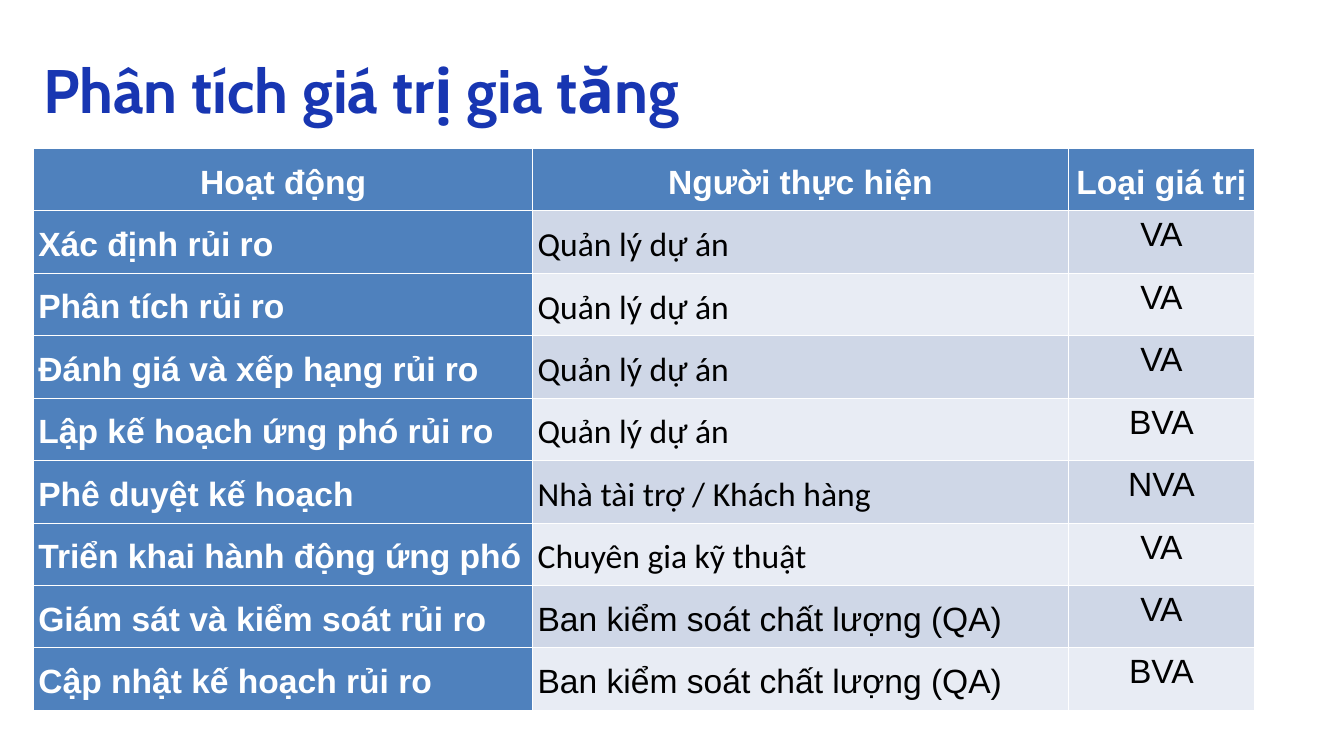
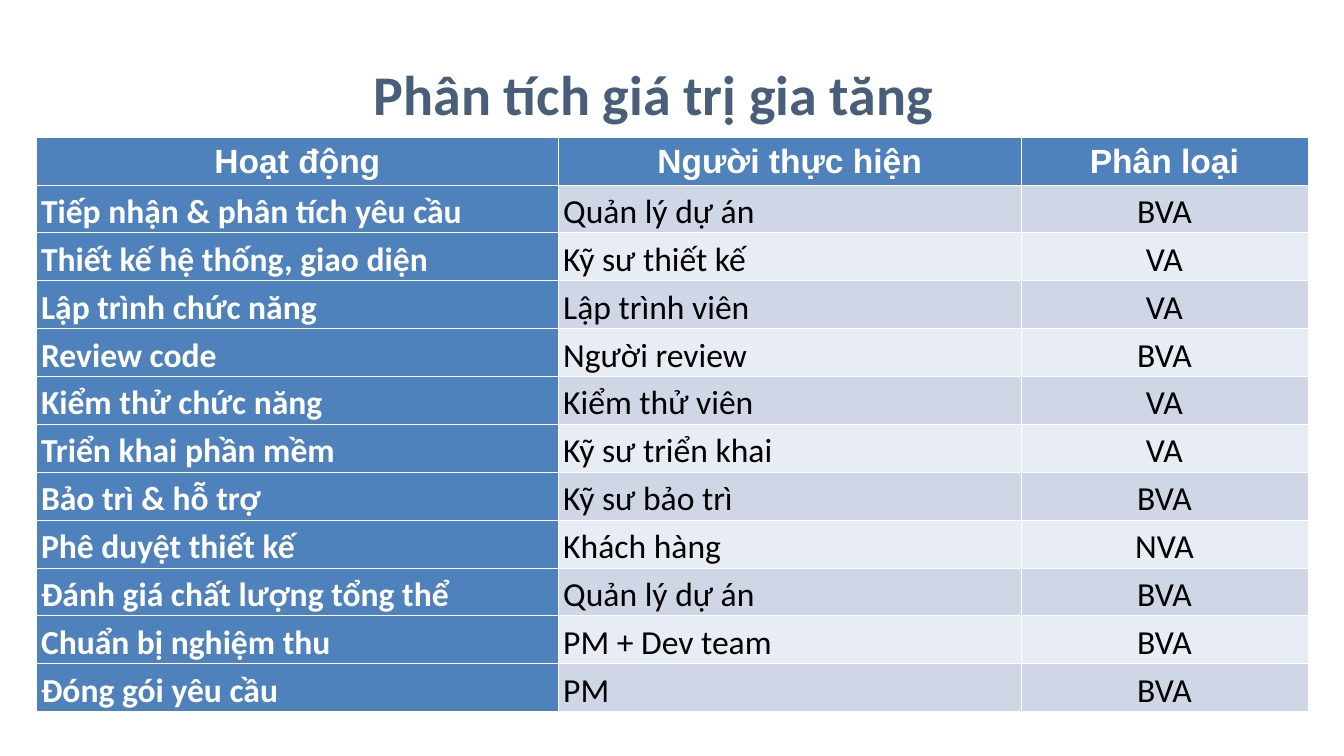
from dataclasses import dataclass
from typing import Optional

from pptx import Presentation
from pptx.dml.color import RGBColor
from pptx.enum.text import MSO_ANCHOR, MSO_AUTO_SIZE, PP_ALIGN
from pptx.slide import Slide
from pptx.util import Cm, Pt

WHITE, BLACK = "FFFFFF", "000000"
HEAD = "4F81BD"
BANDS = ("CFD7E7", "E8ECF4")
TITLE = "Phân tích giá trị gia tăng"
TOP, MIDDLE = MSO_ANCHOR.TOP, MSO_ANCHOR.MIDDLE
LEFT, CENTER = PP_ALIGN.LEFT, PP_ALIGN.CENTER


@dataclass(frozen=True)
class Style:
    font: str
    size: float
    color: str
    bold: bool = False
    align: PP_ALIGN = LEFT
    anchor: MSO_ANCHOR = MIDDLE
    space: float = 1.15
    pad: tuple[float, float] = (0.18, 0)


@dataclass(frozen=True)
class Title:
    box: tuple[float, float, float, float]
    style: Style
    fit: MSO_AUTO_SIZE = MSO_AUTO_SIZE.NONE


@dataclass(frozen=True)
class Grid:
    left: float
    top: float
    cols: tuple[float, ...]
    height: float
    head: Style
    body: tuple[Style, ...]
    rows: tuple[tuple[str, ...], ...]
    other: Optional[Style] = None
    names: tuple[str, ...] = ()


def color(code: str) -> RGBColor:
    return RGBColor.from_string(code)


def write(item, text: str, style: Style) -> None:
    item.margin_left = item.margin_right = Cm(style.pad[0])
    item.margin_top = item.margin_bottom = Cm(style.pad[1])
    item.vertical_anchor = style.anchor
    frame = getattr(item, "text_frame", item)
    frame.text = text
    para = frame.paragraphs[0]
    para.alignment = style.align
    para.line_spacing = style.space
    para.font.name = style.font
    para.font.size = Pt(style.size)
    para.font.bold = style.bold
    para.font.color.rgb = color(style.color)


def add_title(slide: Slide, title: Title) -> None:
    frame = slide.shapes.add_textbox(*map(Cm, title.box)).text_frame
    frame.word_wrap = True
    frame.auto_size = title.fit
    write(frame, TITLE, title.style)


def add_grid(slide: Slide, grid: Grid) -> None:
    count = len(grid.rows)
    table = slide.shapes.add_table(
        count, len(grid.cols), Cm(grid.left), Cm(grid.top),
        Cm(sum(grid.cols)), Cm(grid.height * count)).table
    table.first_col = True
    for col, width in zip(table.columns, grid.cols):
        col.width = Cm(width)
    for r, texts in enumerate(grid.rows):
        table.rows[r].height = Cm(grid.height)
        for c, text in enumerate(texts):
            cell = table.cell(r, c)
            cell.fill.solid()
            shade = HEAD if r == 0 or c == 0 else BANDS[(r - 1) % 2]
            cell.fill.fore_color.rgb = color(shade)
            style = grid.head if r == 0 else grid.body[c]
            if grid.other and text in grid.names:
                style = grid.other
            write(cell, text, style)


QA = "Ban kiểm soát chất lượng (QA)"
BOSS = "Quản lý dự án"

RISK_TITLE = Title(
    (1.63, 1.68, 29.64, 2.57),
    Style("Cabin", 65.8, "1836B2", True, anchor=TOP, space=1.1, pad=(0, 0)),
    MSO_AUTO_SIZE.SHAPE_TO_FIT_TEXT)
WORK_TITLE = Title(
    (2.79, 1.7, 43.82, 3.94),
    Style("Calibri", 60, "495E78", True, CENTER, space=0.9, pad=(0.25, 0.13)))

RISK = Grid(
    1.27, 5.61, (18.87, 20.24, 7.04), 2.36,
    Style("Arial", 36, WHITE, True, CENTER),
    (Style("Arial", 36, WHITE, True),
     Style("Calibri", 36, BLACK),
     Style("Arial", 36, BLACK, align=CENTER, anchor=TOP)),
    (("Hoạt động", "Người thực hiện", "Loại giá trị"),
     ("Xác định rủi ro", BOSS, "VA"),
     ("Phân tích rủi ro", BOSS, "VA"),
     ("Đánh giá và xếp hạng rủi ro", BOSS, "VA"),
     ("Lập kế hoạch ứng phó rủi ro", BOSS, "BVA"),
     ("Phê duyệt kế hoạch", "Nhà tài trợ / Khách hàng", "NVA"),
     ("Triển khai hành động ứng phó", "Chuyên gia kỹ thuật", "VA"),
     ("Giám sát và kiểm soát rủi ro", QA, "VA"),
     ("Cập nhật kế hoạch rủi ro", QA, "BVA")),
    Style("Arial", 36, BLACK), (QA,))

WORK = Grid(
    1.37, 5.18, (19.74, 17.48, 10.85), 1.81,
    Style("Arial", 36, WHITE, True, CENTER, TOP, pad=(0.38, 0)),
    (Style("Calibri", 36, WHITE, True),
     Style("Calibri", 36, BLACK),
     Style("Calibri", 36, BLACK, align=CENTER)),
    (("Hoạt động", "Người thực hiện", "Phân loại"),
     ("Tiếp nhận & phân tích yêu cầu", BOSS, "BVA"),
     ("Thiết kế hệ thống, giao diện", "Kỹ sư thiết kế", "VA"),
     ("Lập trình chức năng", "Lập trình viên", "VA"),
     ("Review code", "Người review", "BVA"),
     ("Kiểm thử chức năng", "Kiểm thử viên", "VA"),
     ("Triển khai phần mềm", "Kỹ sư triển khai", "VA"),
     ("Bảo trì & hỗ trợ", "Kỹ sư bảo trì", "BVA"),
     ("Phê duyệt thiết kế", "Khách hàng", "NVA"),
     ("Đánh giá chất lượng tổng thể", BOSS, "BVA"),
     ("Chuẩn bị nghiệm thu", "PM + Dev team", "BVA"),
     ("Đóng gói yêu cầu", "PM", "BVA")))


def main() -> None:
    deck = Presentation()
    deck.slide_width, deck.slide_height = Cm(50.8), Cm(28.58)
    blank = deck.slide_layouts[6]
    risk = deck.slides.add_slide(blank)
    add_title(risk, RISK_TITLE)
    add_grid(risk, RISK)
    work = deck.slides.add_slide(blank)
    add_grid(work, WORK)
    add_title(work, WORK_TITLE)
    deck.save("out.pptx")


if __name__ == "__main__":
    main()
